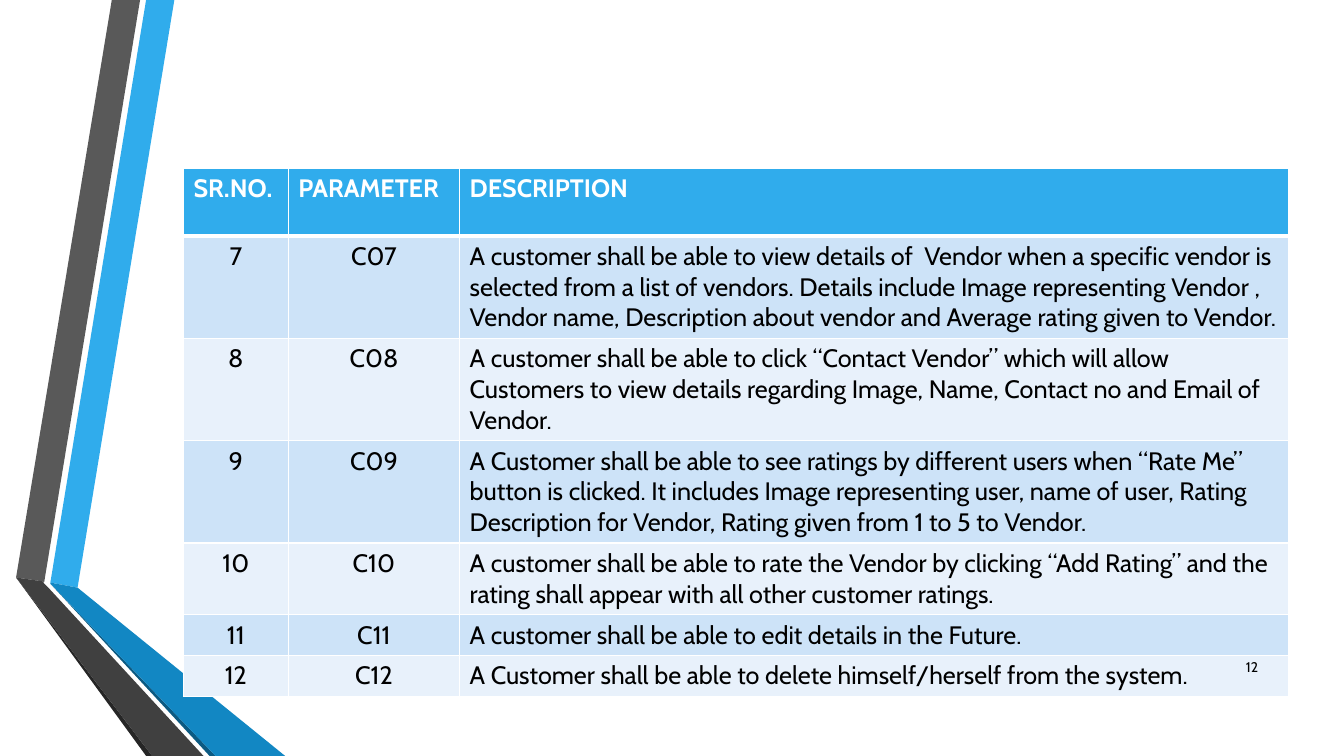
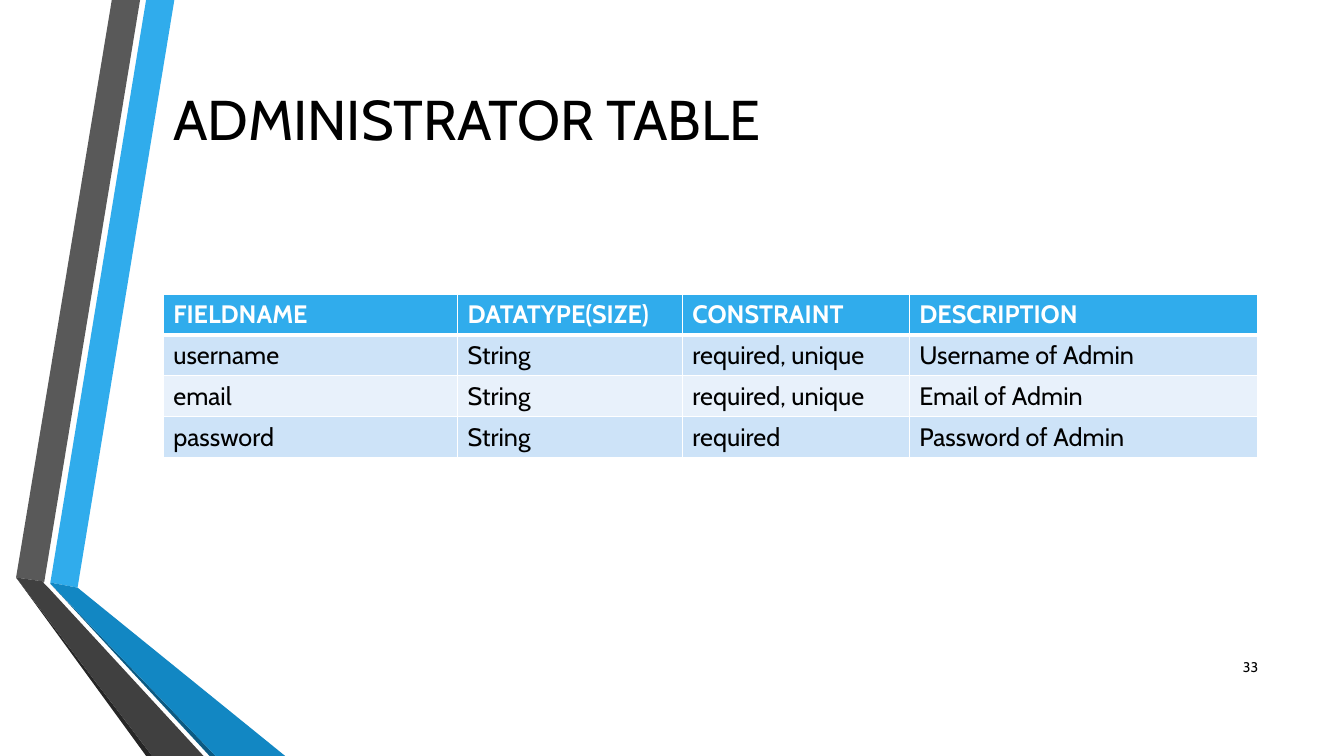
from dataclasses import dataclass

from lxml import etree
from pptx import Presentation, util as u
from pptx.dml.color import RGBColor
from pptx.enum import text
from pptx.oxml import ns

WIDTH, HEIGHT = u.Inches(40) // 3, u.Inches(7.5)
TITLE_ONLY, BLANK = 5, 6
ALIGN = text.PP_ALIGN


@dataclass(frozen=True)
class Theme:
    font: str = "Cabin"
    title_size: int = 40
    table_size: int = 18
    number_size: int = 10
    ink: str = "000000"
    white: str = "FFFFFF"
    accent: str = "30ACEC"
    accent_dark: str = "1287C3"
    accent_edge: str = "0C5A82"
    grey: str = "595959"
    grey_dark: str = "404040"
    grey_edge: str = "262626"
    stripes: tuple = ("CDE3F8", "E8F1FB")


THEME = Theme()

# Ribbon outlines, in hundredths of an inch
RIBBONS = [
    (THEME.accent, [(50, 578), (77, 583), (173, 0), (145, 0)]),
    (THEME.grey, [(139, 0), (111, 0), (16, 573), (44, 577)]),
    (THEME.grey_edge, [(16, 573), (145, 750), (151, 750)]),
    (THEME.accent_edge, [(50, 579), (208, 750), (214, 750)]),
    (THEME.accent_dark, [(50, 579), (214, 750), (283, 750), (77, 583), (50, 578)]),
    (THEME.grey_dark, [(202, 750), (48, 583), (43, 578), (44, 577), (16, 573), (151, 750)]),
]

REQUIREMENTS = [
    ("SR.NO.", "PARAMETER", "DESCRIPTION"),
    ("7", "C07", "A customer shall be able to view details of  Vendor when a specific vendor is "
     "selected from a list of vendors. Details include Image representing Vendor , Vendor name, "
     "Description about vendor and Average rating given to Vendor."),
    ("8", "C08", "A customer shall be able to click “Contact Vendor” which will allow Customers to "
     "view details regarding Image, Name, Contact no and Email of Vendor."),
    ("9", "C09", "A Customer shall be able to see ratings by different users when “Rate Me” button "
     "is clicked. It includes Image representing user, name of user, Rating Description for "
     "Vendor, Rating given from 1 to 5 to Vendor."),
    ("10", "C10", "A customer shall be able to rate the Vendor by clicking “Add Rating” and the "
     "rating shall appear with all other customer ratings."),
    ("11", "C11", "A customer shall be able to edit details in the Future."),
    ("12", "C12", "A Customer shall be able to delete himself/herself from the system."),
]

ADMIN_FIELDS = [
    ("FIELDNAME", "DATATYPE(SIZE)", "CONSTRAINT", "DESCRIPTION"),
    ("username", "String", "required, unique", "Username of Admin"),
    ("email", "String", "required, unique", "Email of Admin"),
    ("password", "String", "required", "Password of Admin"),
]


def across(percent):
    return round(WIDTH * percent / 100)


def down(percent):
    return round(HEIGHT * percent / 100)


def box(x, y, w, h):
    return across(x), down(y), across(w), down(h)


def style(tf, size, color=THEME.ink, align=ALIGN.LEFT, bold=False):
    for p in tf.paragraphs:
        p.alignment = align
        for r in p.runs:
            r.font.name, r.font.size, r.font.bold = THEME.font, u.Pt(size), bold
            r.font.color.rgb = RGBColor.from_string(color)


# Shared ribbons: drawn once, then placed on the master
def add_ribbons(prs, s):
    for color, (start, *rest) in RIBBONS:
        builder = s.shapes.build_freeform(*start, scale=u.Inches(1) / 100)
        builder.add_line_segments(rest, close=True)
        sp = builder.convert_to_shape()
        sp.shadow.inherit = False
        sp.fill.solid()
        sp.fill.fore_color.rgb = RGBColor.from_string(color)
        sp.line.fill.background()
        prs.slide_master.shapes.element.append(sp.element)


def add_title(s, title):
    sp = s.shapes.title
    sp.left, sp.top, sp.width, sp.height = box(12.15, 10.53, 46.5, 10.27)
    tf = sp.text_frame
    tf.text = title
    tf.word_wrap = False
    tf.auto_size = text.MSO_AUTO_SIZE.SHAPE_TO_FIT_TEXT
    tf.vertical_anchor = text.MSO_ANCHOR.TOP
    style(tf, THEME.title_size)


def add_number(s, number):
    tf = s.shapes.add_textbox(*box(89.85, 85.6, 4.5, 5.33)).text_frame
    tf.text = str(number)
    tf.word_wrap = True
    tf.vertical_anchor = text.MSO_ANCHOR.MIDDLE
    style(tf, THEME.number_size, align=ALIGN.RIGHT)


def set_borders(cell, **points):
    tc_pr = cell._tc.get_or_add_tcPr()
    for i, side in enumerate("LRTB"):
        line = etree.Element(ns.qn(f"a:ln{side}"), w=str(u.Pt(points.get(side, 1))))
        fill = etree.SubElement(line, ns.qn("a:solidFill"))
        etree.SubElement(fill, ns.qn("a:srgbClr"), val=THEME.white)
        tc_pr.insert(i, line)


def add_table(s, rows, x, y, columns, heights, body_align, head_align=ALIGN.LEFT):
    frame = s.shapes.add_table(len(rows), len(columns),
                               *box(x, y, sum(columns), sum(heights)))
    table = frame.table
    table.horz_banding = False
    for column, width in zip(table.columns, columns):
        column.width = across(width)
    for i, (row, height) in enumerate(zip(rows, heights)):
        table.rows[i].height = down(height)
        for j, value in enumerate(row):
            cell = table.cell(i, j)
            cell.text = value
            head = i == 0
            color = THEME.accent if head else THEME.stripes[(i - 1) % 2]
            cell.fill.solid()
            cell.fill.fore_color.rgb = RGBColor.from_string(color)
            set_borders(cell, T=3 if i == 1 else 1, B=3 if head else 1)
            style(cell.text_frame, THEME.table_size, THEME.white if head else THEME.ink,
                  head_align if head else body_align[j], bold=head)


def main():
    prs = Presentation()
    prs.slide_width, prs.slide_height = WIDTH, HEIGHT

    # Customer requirements
    s = prs.slides.add_slide(prs.slide_layouts[BLANK])
    add_ribbons(prs, s)
    add_table(s, REQUIREMENTS, 13.65, 22.27, [7.8, 12.75, 61.67],
              [8.93] * 3 + [5.07] * 4, [ALIGN.CENTER, ALIGN.CENTER, ALIGN.LEFT],
              head_align=ALIGN.JUSTIFY)
    add_number(s, 12)

    # Administrator table
    s = prs.slides.add_slide(prs.slide_layouts[TITLE_ONLY])
    add_number(s, 33)
    add_title(s, "ADMINISTRATOR TABLE")
    add_table(s, ADMIN_FIELDS, 12.15, 38.93, [21.9, 16.73, 16.88, 25.95],
              [5.4] * 4, [ALIGN.LEFT] * 4)

    prs.save("out.pptx")


if __name__ == "__main__":
    main()
